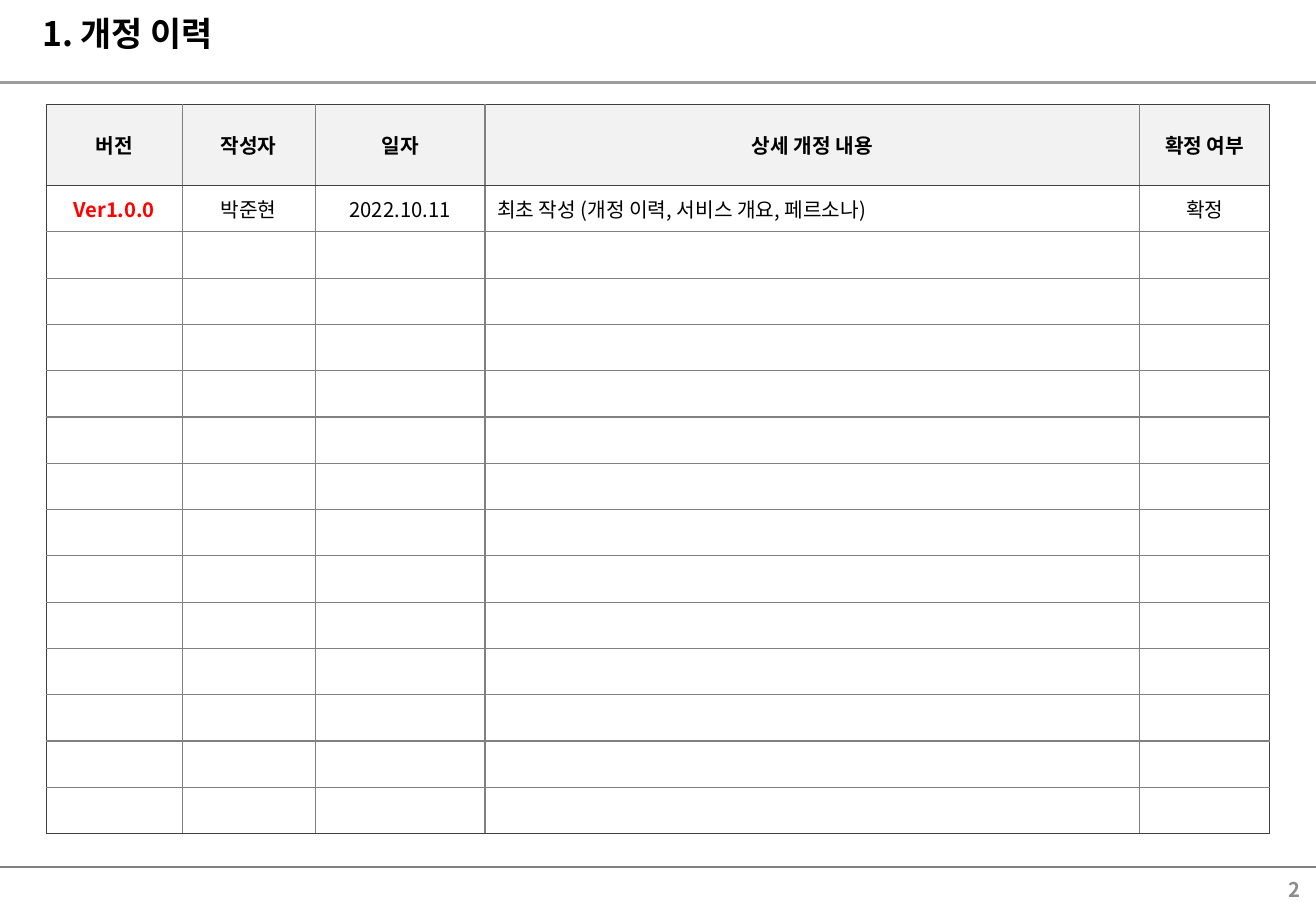
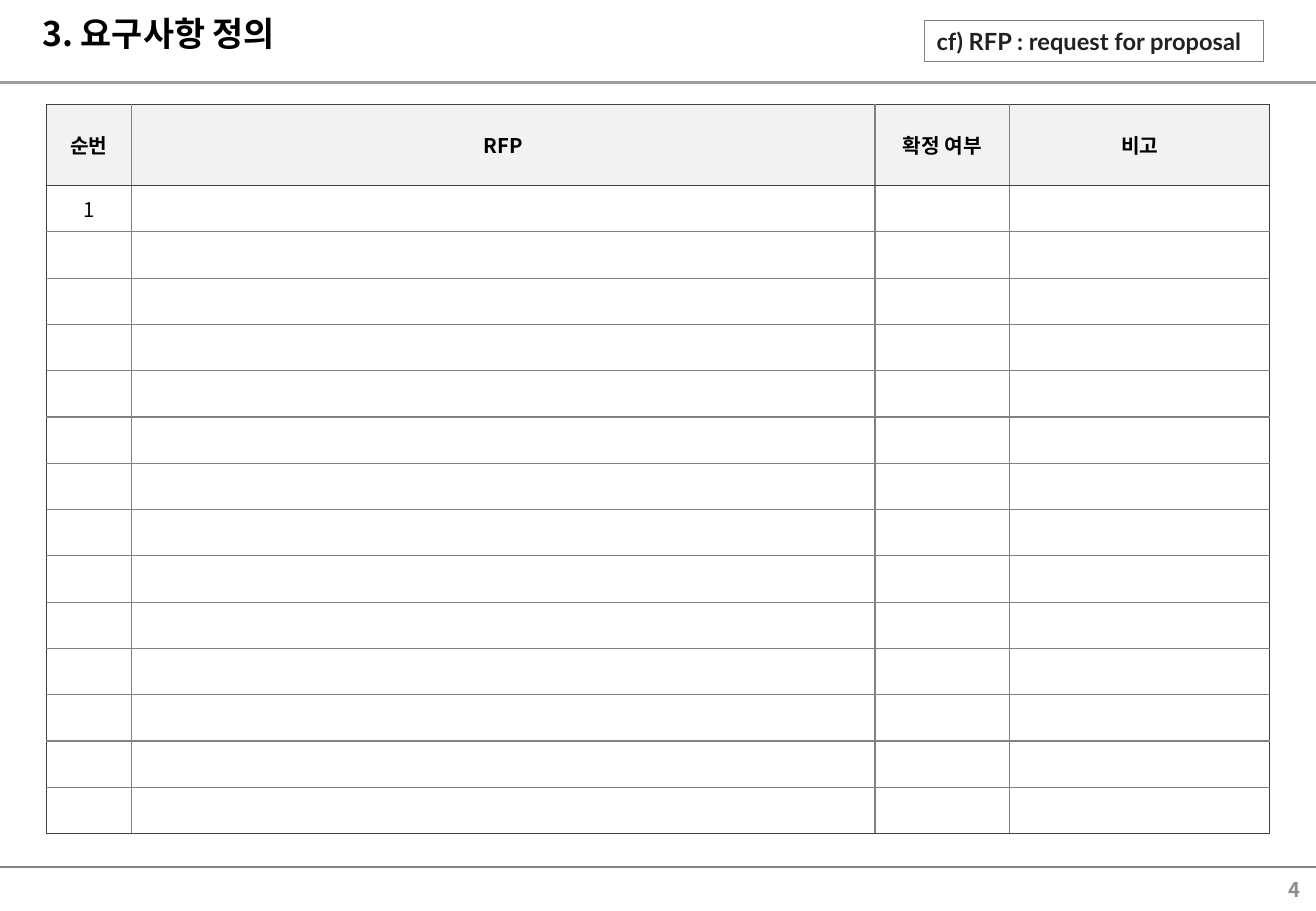
from lxml import etree
from pptx import Presentation
from pptx.dml.color import RGBColor
from pptx.enum.shapes import MSO_CONNECTOR, MSO_SHAPE
from pptx.enum.text import MSO_ANCHOR, PP_ALIGN
from pptx.oxml.ns import qn
from pptx.util import Pt

LEFT, CENTER, RIGHT = PP_ALIGN.LEFT, PP_ALIGN.CENTER, PP_ALIGN.RIGHT
TOP, MIDDLE = MSO_ANCHOR.TOP, MSO_ANCHOR.MIDDLE
STRAIGHT = MSO_CONNECTOR.STRAIGHT
RECTANGLE = MSO_SHAPE.RECTANGLE


def rgb(color):
    return RGBColor.from_string(color)


class Deck:
    WIDTH, HEIGHT = 780, 540
    FONT, NOTE_FONT = "Noto Sans CJK KR", "Lato"
    BLACK, RED, NOTE_INK = "000000", "FF0000", "202124"
    GRAY, DARK, PAGE_GRAY, HEADER_FILL = "808080", "404040", "8C8C8C", "F2F2F2"
    TABLE_LEFT, TABLE_TOP = 27.4, 62
    HEADER_HEIGHT, ROW_HEIGHT, BODY_ROWS = 48, 27.46, 14

    def __init__(self):
        self.prs = Presentation()
        self.prs.slide_width, self.prs.slide_height = Pt(self.WIDTH), Pt(self.HEIGHT)
        self.slide = None

    def new_slide(self, title, page):
        self.slide = self.prs.slides.add_slide(self.prs.slide_layouts[6])
        self.rule(514, 0.75)
        self.rule(48.9, 1.5, alpha=76)
        heading = self.text_box(title, 18, 6.5, 751, 35.3, 20, self.BLACK, LEFT, TOP)
        heading.line_spacing = 0.9
        self.text_box(str(page), 602, 516.2, 175.7, 22.3, 12, self.PAGE_GRAY, RIGHT, MIDDLE)

    def rule(self, y, weight, alpha=None):
        """Full-width horizontal line."""
        line = self.slide.shapes.add_connector(STRAIGHT, 0, Pt(y), Pt(self.WIDTH), Pt(y))
        line.line.color.rgb = rgb(self.GRAY)
        line.line.width = Pt(weight)
        properties = line._element.spPr
        if alpha:
            tint = properties.find(".//" + qn("a:srgbClr"))
            etree.SubElement(tint, qn("a:alpha"), val=str(alpha * 1000))
        etree.SubElement(properties, qn("a:effectLst"))

    def set_text(self, paragraph, text, size, color, align, bold=True, font=FONT):
        paragraph.text = text
        paragraph.alignment = align
        style = paragraph.font
        style.size, style.bold, style.name = Pt(size), bold, font
        style.color.rgb = rgb(color)
        # Korean text takes its typeface from the East Asian slot
        etree.SubElement(style._element, qn("a:ea"), typeface=font)
        if not text:
            etree.SubElement(paragraph._p, qn("a:endParaRPr"), sz=str(size * 100))

    def text_box(self, text, x, y, width, height, size, color, align, anchor):
        frame = self.slide.shapes.add_textbox(Pt(x), Pt(y), Pt(width), Pt(height)).text_frame
        frame.word_wrap = True
        frame.vertical_anchor = anchor
        self.set_text(frame.paragraphs[0], text, size, color, align)
        return frame.paragraphs[0]

    def note(self, text, x, y, width, height):
        """Outlined remark beside the title."""
        box = self.slide.shapes.add_shape(RECTANGLE, Pt(x), Pt(y), Pt(width), Pt(height))
        box.shadow.inherit = False
        box.fill.background()
        box.line.color.rgb = rgb(self.GRAY)
        box.line.width = Pt(0.75)
        box.text_frame.word_wrap = True
        box.text_frame.vertical_anchor = MIDDLE
        self.set_text(box.text_frame.paragraphs[0], text, 14, self.NOTE_INK, LEFT,
                      font=self.NOTE_FONT)

    def borders(self, cell, strong_sides):
        properties = cell._tc.get_or_add_tcPr()
        for side in "LRTB":
            color, weight = (self.DARK, 1) if side in strong_sides else (self.GRAY, 0.75)
            edge = etree.SubElement(properties, qn("a:ln" + side), w=str(int(Pt(weight))))
            fill = etree.SubElement(edge, qn("a:solidFill"))
            etree.SubElement(fill, qn("a:srgbClr"), val=color)

    def table(self, widths, headers, entries, left_columns=(), red_columns=()):
        """Header row, one filled row, then empty rows to the bottom."""
        rows, columns = self.BODY_ROWS + 1, len(widths)
        height = self.HEADER_HEIGHT + self.BODY_ROWS * self.ROW_HEIGHT
        grid = self.slide.shapes.add_table(
            rows, columns, Pt(self.TABLE_LEFT), Pt(self.TABLE_TOP),
            Pt(sum(widths)), Pt(height)).table
        grid.first_row = grid.horz_banding = False
        for column, width in zip(grid.columns, widths):
            column.width = Pt(width)
        content = [headers, entries] + [[""] * columns] * (rows - 2)
        for r, texts in enumerate(content):
            is_header = r == 0
            grid.rows[r].height = Pt(self.HEADER_HEIGHT if is_header else self.ROW_HEIGHT)
            for c, text in enumerate(texts):
                cell = grid.cell(r, c)
                cell.vertical_anchor = MIDDLE
                is_red = not is_header and c in red_columns
                align = LEFT if not is_header and c in left_columns else CENTER
                self.set_text(cell.text_frame.paragraphs[0], text, 12,
                              self.RED if is_red else self.BLACK, align,
                              bold=is_header or is_red)
                # Dark outline around the table and under the header
                strong = {"L": c == 0, "R": c == columns - 1,
                          "T": r <= 1, "B": r in (0, rows - 1)}
                self.borders(cell, [side for side, on in strong.items() if on])
                if is_header:
                    cell.fill.solid()
                    cell.fill.fore_color.rgb = rgb(self.HEADER_FILL)
                else:
                    cell.fill.background()


def main():
    deck = Deck()

    # Revision history
    deck.new_slide("1. 개정 이력", 2)
    deck.table([80.6, 78.8, 100.7, 388.1, 76.9],
               ["버전", "작성자", "일자", "상세 개정 내용", "확정 여부"],
               ["Ver1.0.0", "박준현", "2022.10.11",
                "최초 작성 (개정 이력, 서비스 개요, 페르소나)", "확정"],
               left_columns=[3], red_columns=[0])

    # Requirements
    deck.new_slide("3. 요구사항 정의", 4)
    deck.table([50.4, 440.8, 80, 153.9],
               ["순번", "RFP", "확정 여부", "비고"],
               ["1", "", "", ""])
    deck.note("cf) RFP : request for proposal", 548, 12.2, 201, 24.5)

    deck.prs.save("out.pptx")


if __name__ == "__main__":
    main()
